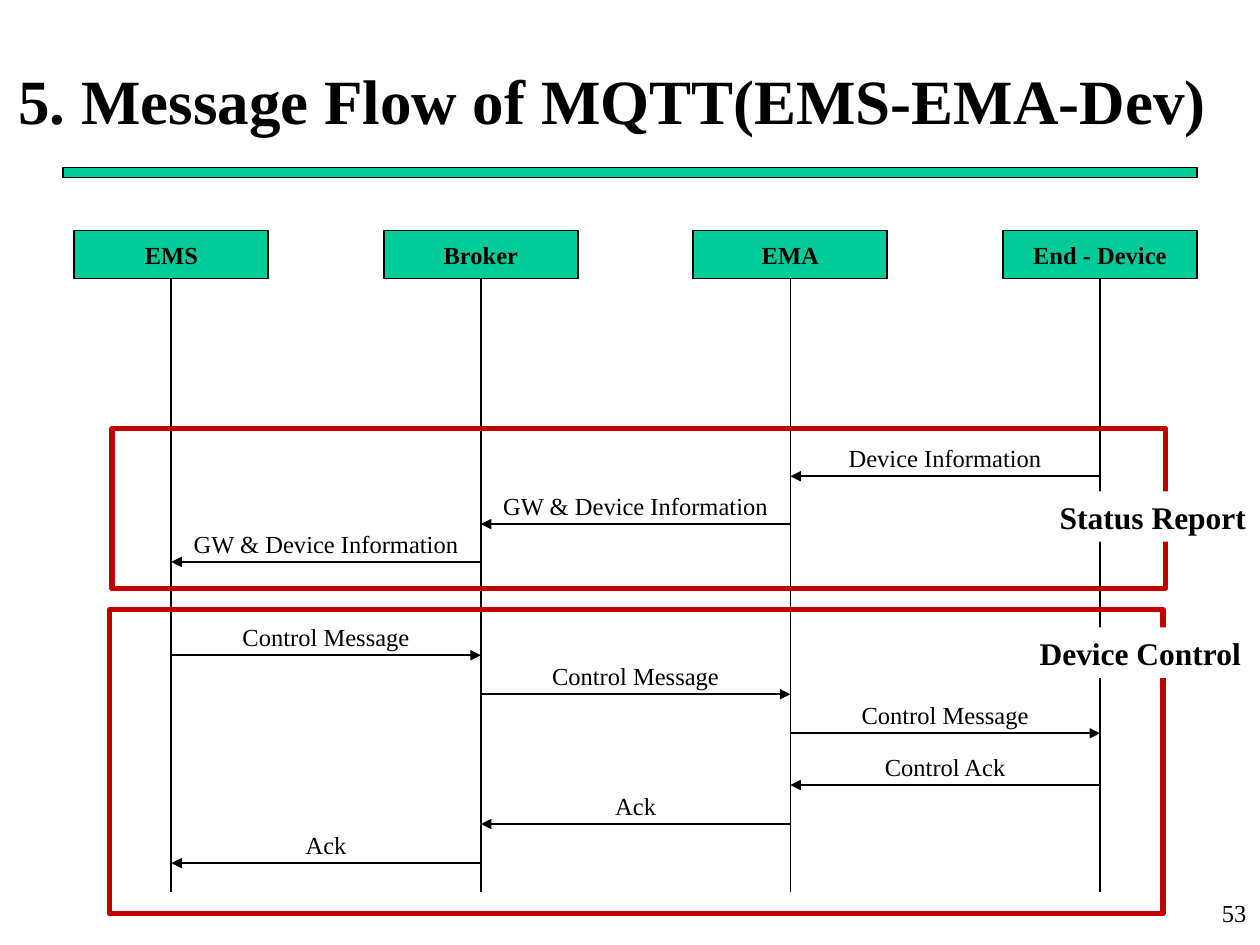
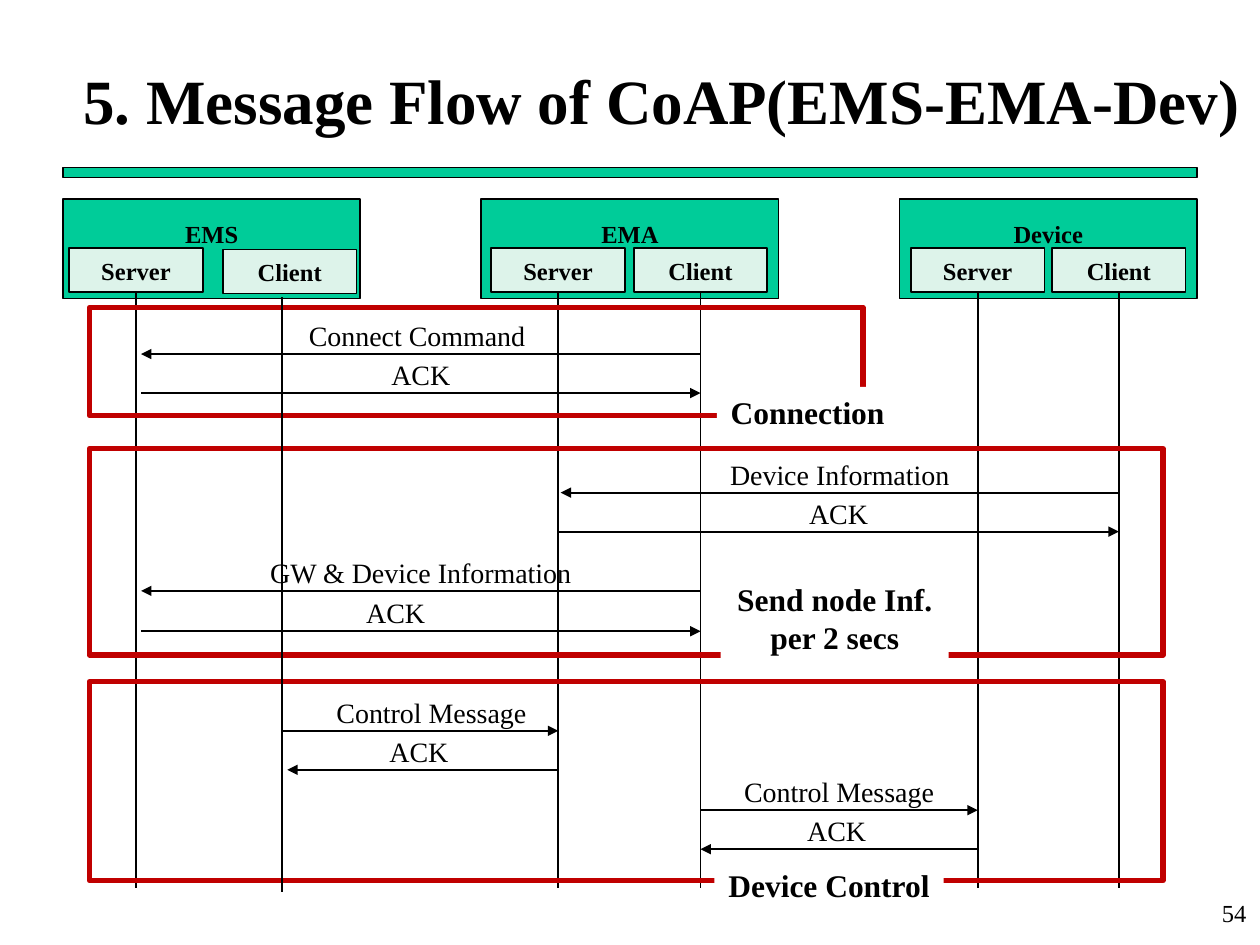
from dataclasses import dataclass
from typing import NamedTuple, Optional

from lxml.etree import SubElement
from pptx import Presentation
from pptx.dml.color import RGBColor
from pptx.enum.shapes import MSO_CONNECTOR as Connector, MSO_SHAPE as Preset
from pptx.enum.text import MSO_ANCHOR as Anchor, PP_ALIGN as Align
from pptx.oxml.ns import qn
from pptx.util import Inches, Pt


@dataclass(frozen=True)
class Theme:
    font: str = "Times New Roman"
    ink: RGBColor = RGBColor(0x00, 0x00, 0x00)
    paper: RGBColor = RGBColor(0xFF, 0xFF, 0xFF)
    green: RGBColor = RGBColor(0x00, 0xCC, 0x99)
    mint: RGBColor = RGBColor(0xDD, 0xF3, 0xEA)
    red: RGBColor = RGBColor(0xC0, 0x00, 0x00)
    title_size: float = 36
    tag_size: float = 18
    large_label_size: float = 16
    body_size: float = 14
    band_line: float = 0.75
    line: float = 1
    frame_line: float = 3


THEME = Theme()


class Area(NamedTuple):
    left: float
    top: float
    width: float
    height: float

    def lengths(self):
        return [Inches(value) for value in self]


class Message(NamedTuple):
    text: str
    start: float
    end: float
    y: float
    width: float
    label_shift: float = 0


class Phase(NamedTuple):
    frame: Area
    tag: str
    tag_area: Area


def write(shape, text: str, size: float, bold: bool = False,
          align=Align.CENTER, anchor=Anchor.MIDDLE, wrap: bool = False) -> None:
    frame = shape.text_frame
    frame.text = text
    frame.word_wrap = wrap
    frame.vertical_anchor = anchor
    for para in frame.paragraphs:
        para.alignment = align
        para.font.name = THEME.font
        para.font.size = Pt(size)
        para.font.bold = bold
        para.font.color.rgb = THEME.ink


def add_box(page, area: Area, fill: Optional[RGBColor] = None,
            line: Optional[RGBColor] = None, weight: float = THEME.line):
    box = page.shapes.add_shape(Preset.RECTANGLE, *area.lengths())
    box.shadow.inherit = False
    if fill is None:
        box.fill.background()
    else:
        box.fill.solid()
        box.fill.fore_color.rgb = fill
    if line is None:
        box.line.fill.background()
    else:
        box.line.color.rgb = line
        box.line.width = Pt(weight)
    return box


def add_text(page, area: Area, text: str, size: float, **style) -> None:
    write(page.shapes.add_textbox(*area.lengths()), text, size, **style)


def add_line(page, start_x: float, start_y: float, end_x: float, end_y: float,
             arrow: bool = False):
    ends = [Inches(value) for value in (start_x, start_y, end_x, end_y)]
    line = page.shapes.add_connector(Connector.STRAIGHT, *ends)
    line.line.color.rgb = THEME.ink
    line.line.width = Pt(THEME.line)
    properties = line.element.spPr
    if arrow:
        SubElement(properties.find(qn("a:ln")), qn("a:tailEnd"), type="triangle")
    SubElement(properties, qn("a:effectLst"))
    return line


def add_participant(page, area: Area, name: str, fill: RGBColor):
    box = add_box(page, area, fill, THEME.ink)
    write(box, name, THEME.body_size, bold=True)
    return box


def add_lifeline(page, area: Area, box, bottom: float) -> None:
    center = area.left + area.width / 2
    line = add_line(page, center, area.top + area.height, center, bottom)
    line.begin_connect(box, 2)


def add_messages(page, messages: list[Message], size: float, height: float,
                 label_gap: float) -> None:
    for message in messages:
        add_line(page, message.start, message.y, message.end, message.y, arrow=True)
    for message in messages:
        center = (message.start + message.end) / 2 + message.label_shift
        area = Area(center - message.width / 2, message.y - label_gap,
                    message.width, height)
        add_text(page, area, message.text, size, anchor=Anchor.TOP)


def add_phases(page, phases: list[Phase]) -> None:
    for phase in phases:
        add_box(page, phase.frame, line=THEME.red, weight=THEME.frame_line)
        write(add_box(page, phase.tag_area, THEME.paper), phase.tag,
              THEME.tag_size, bold=True)


def add_page(deck, title: str, title_area: Area, number: int):
    page = deck.slides.add_slide(deck.slide_layouts[6])
    add_box(page, Area(0.5, 1.33, 9, 0.08), THEME.green, THEME.ink, THEME.band_line)
    add_text(page, title_area, title, THEME.title_size, bold=True, wrap=True)
    add_text(page, Area(7.91, 7.08, 2.08, 0.42), str(number), THEME.body_size,
             align=Align.RIGHT, anchor=Anchor.TOP, wrap=True)
    return page


def build_mqtt(deck) -> None:
    page = add_page(deck, "5. Message Flow of MQTT(EMS-EMA-Dev)",
                    Area(0, 0.33, 9.72, 0.92), 53)
    names = ["EMS", "Broker", "EMA", "End - Device"]
    first, last, width = 0.59, 7.96, 1.54
    pitch = (last - first) / (len(names) - 1)
    areas = [Area(first + index * pitch, 1.83, width, 0.38)
             for index in range(len(names))]
    boxes = [add_participant(page, area, name, THEME.green)
             for area, name in zip(areas, names)]
    for area, box in zip(areas, boxes):
        add_lifeline(page, area, box, 7.08)
    ems, broker, ema, device = [area.left + width / 2 for area in areas]
    add_messages(page, [
        Message("Device Information", device, ema, 3.78, 2.56),
        Message("GW & Device Information", ema, broker, 4.16, 3.4),
        Message("GW & Device Information", broker, ems, 4.46, 3.4),
        Message("Control Message", ems, broker, 5.2, 2.26),
        Message("Control Message", broker, ema, 5.51, 2.26),
        Message("Control Message", ema, device, 5.82, 2.26),
        Message("Control Ack", device, ema, 6.23, 1.71),
        Message("Ack", ema, broker, 6.54, 0.78),
        Message("Ack", broker, ems, 6.85, 0.78),
    ], THEME.body_size, 0.44, 0.31)
    add_phases(page, [
        Phase(Area(0.89, 3.4, 8.36, 1.27), "Status Report", Area(8.3, 3.9, 1.7, 0.4)),
        Phase(Area(0.87, 4.84, 8.36, 2.41), "Device Control", Area(8.14, 4.98, 1.82, 0.4)),
    ])


def build_coap(deck) -> None:
    page = add_page(deck, "5. Message Flow of CoAP(EMS-EMA-Dev)",
                    Area(0.5, 0.33, 9.5, 0.92), 54)
    for index, name in enumerate(["EMS", "EMA", "Device"]):
        host = add_participant(page, Area(0.5 + index * 3.32, 1.58, 2.36, 0.79),
                               name, THEME.green)
        host.text_frame.margin_bottom = Inches(0.29)

    width, height = 1.06, 0.35
    roles = [("Server", 0.55), ("Server", 3.9), ("Client", 5.03),
             ("Server", 7.23), ("Client", 8.35)]
    for role, left in roles:
        area = Area(left, 1.97, width, height)
        add_lifeline(page, area, add_participant(page, area, role, THEME.mint), 7.05)
    ema_server, ema_client, device_server, device_client = [
        left + width / 2 for _, left in roles[1:]]
    ems_server, ems_client = 1.12, 2.24

    add_messages(page, [
        Message("Connect Command", ema_client, ems_server, 2.81, 1.94, -0.03),
        Message("ACK", ems_server, ema_client, 3.12, 0.67),
        Message("Device Information", device_client, ema_server + 0.02, 3.91, 1.97),
        Message("ACK", ema_server, device_client, 4.22, 0.67),
        Message("GW & Device Information", ema_client, ems_server, 4.69, 2.63),
        Message("ACK", ems_server, ema_client, 5.01, 0.67, -0.2),
        Message("Control Message", ems_client, ema_server, 5.8, 1.73, 0.09),
        Message("ACK", ema_server, ems_client + 0.04, 6.11, 0.67, -0.03),
        Message("Control Message", ema_client, device_server, 6.43, 1.73),
        Message("ACK", device_server, ema_client, 6.74, 0.67, -0.02),
    ], THEME.large_label_size, 0.37, 0.33)
    add_phases(page, [
        Phase(Area(0.71, 2.44, 6.14, 0.86), "Connection", Area(5.69, 3.07, 1.44, 0.4)),
        Phase(Area(0.71, 3.56, 8.52, 1.64), "Send node Inf.\nper 2 secs",
              Area(5.72, 4.55, 1.81, 0.71)),
        Phase(Area(0.71, 5.41, 8.52, 1.58), "Device Control", Area(5.67, 6.82, 1.82, 0.4)),
    ])
    add_participant(page, Area(1.77, 1.98, width, height), "Client", THEME.mint)
    add_line(page, ems_client, 2.36, ems_client, 7.08)


def main() -> None:
    deck = Presentation()
    deck.slide_width = Inches(10)
    deck.slide_height = Inches(7.5)
    build_mqtt(deck)
    build_coap(deck)
    deck.save("out.pptx")


if __name__ == "__main__":
    main()
